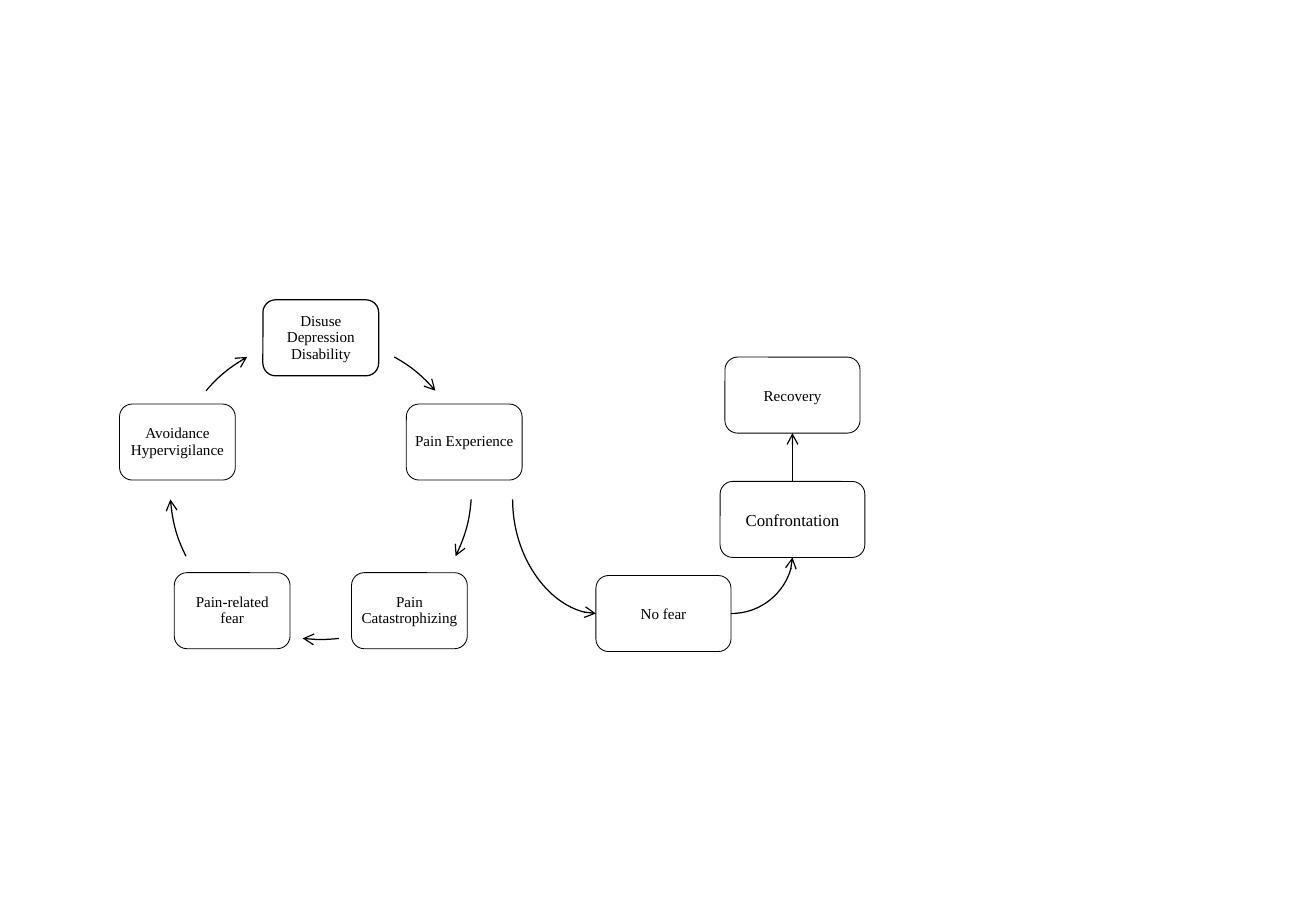
from math import cos, radians, sin

from lxml.etree import SubElement
from pptx import Presentation
from pptx.dml.color import RGBColor
from pptx.enum.shapes import MSO_CONNECTOR, MSO_SHAPE
from pptx.enum.text import MSO_ANCHOR, PP_ALIGN
from pptx.oxml.ns import qn
from pptx.util import Inches, Pt

# Content: boxes of the cycle, clockwise from the top, with line widths
CYCLE = [
    (["Disuse", "Depression", "Disability"], 0.75),
    (["Pain Experience"], 0.5),
    (["Pain Catastrophizing"], 0.5),
    (["Pain-related fear"], 0.5),
    (["Avoidance", "Hypervigilance"], 0.5),
]
# Start and end angle of each arrow of the cycle, clockwise from the right
ARCS = [(299.2, 319.5), (4.1, 26.6), (83.1, 96.9), (153.4, 175.9), (220.5, 240.8)]
# Path to recovery: text, left, top, width, font size
PATH = [
    ("No fear", 4.94, 4.77, 1.12, 9),
    ("Confrontation", 5.97, 3.99, 1.2, 10),
    ("Recovery", 6.01, 2.96, 1.12, 9),
]

COLORS = {"ink": "000000"}
FONT = "Times New Roman"
CX, CY, RADIUS = 2.66, 4.05, 1.25
BOX_W, BOX_H = 0.96, 0.63
INK = RGBColor.from_string(COLORS["ink"])

prs = Presentation()
prs.slide_width, prs.slide_height = Inches(10.91), Inches(7.5)
s = prs.slides.add_slide(prs.slide_layouts[6])


def add_box(lines, x, y, w, size, line_w, spacing=1.0, inset=None):
    sp = s.shapes.add_shape(MSO_SHAPE.ROUNDED_RECTANGLE,
                            Inches(x), Inches(y), Inches(w), Inches(BOX_H))
    sp.shadow.inherit = False
    sp.fill.background()
    sp.line.color.rgb = INK
    sp.line.width = Pt(line_w)
    tf = sp.text_frame
    tf.word_wrap = True
    tf.vertical_anchor = MSO_ANCHOR.MIDDLE
    if inset is not None:
        tf.margin_left = tf.margin_right = tf.margin_top = tf.margin_bottom = inset
    p = tf.paragraphs[0]
    p.alignment = PP_ALIGN.CENTER
    p.line_spacing = spacing
    for i, line in enumerate(lines):
        if i:
            p.add_line_break()
        r = p.add_run()
        r.text = line
        r.font.name, r.font.size, r.font.color.rgb = FONT, Pt(size), INK
    return sp


def style_arrow(sp, end="tailEnd"):
    sp.line.color.rgb = INK
    sp.line.width = Pt(0.75)
    SubElement(sp.line._get_or_add_ln(), qn("a:" + end), type="arrow")


def add_link(kind, start, finish, end="tailEnd"):
    c = s.shapes.add_connector(kind, *(Inches(v) for v in start + finish))
    if kind == MSO_CONNECTOR.CURVE:
        c._element.spPr.find(qn("a:prstGeom")).set("prst", "curvedConnector2")
    style_arrow(c, end)
    SubElement(c._element.spPr, qn("a:effectLst"))
    return c


# Cycle: boxes evenly spaced on a circle, arrows along it
for i, ((lines, line_w), (start, stop)) in enumerate(zip(CYCLE, ARCS)):
    angle = radians(-90 + i * 360 / len(CYCLE))
    x = CX + RADIUS * cos(angle) - BOX_W / 2
    y = CY + RADIUS * sin(angle) - BOX_H / 2
    add_box(lines, x, y, BOX_W, 9, line_w, spacing=0.9, inset=Pt(2.7))

    arc = s.shapes.add_shape(MSO_SHAPE.ARC, Inches(CX - RADIUS), Inches(CY - RADIUS),
                             Inches(2 * RADIUS), Inches(2 * RADIUS))
    arc.shadow.inherit = False
    arc.fill.background()
    arc.adjustments[0], arc.adjustments[1] = start * 0.6, stop * 0.6
    style_arrow(arc)

# Path to recovery
no_fear, confrontation, recovery = (
    add_box([text], x, y, w, size, 0.5) for text, x, y, w, size in PATH)

# Pain experience to no fear: drawn from the box, arrowhead at its start
c = add_link(MSO_CONNECTOR.CURVE, (4.94, 5.09), (4.25, 4.14), "headEnd")
c.begin_connect(no_fear, 1)

c = add_link(MSO_CONNECTOR.CURVE, (6.06, 5.09), (6.57, 4.62))
c.begin_connect(no_fear, 3)
c.end_connect(confrontation, 2)

c = add_link(MSO_CONNECTOR.STRAIGHT, (6.57, 3.99), (6.57, 3.59))
c.begin_connect(confrontation, 0)
c.end_connect(recovery, 2)

prs.save("out.pptx")
